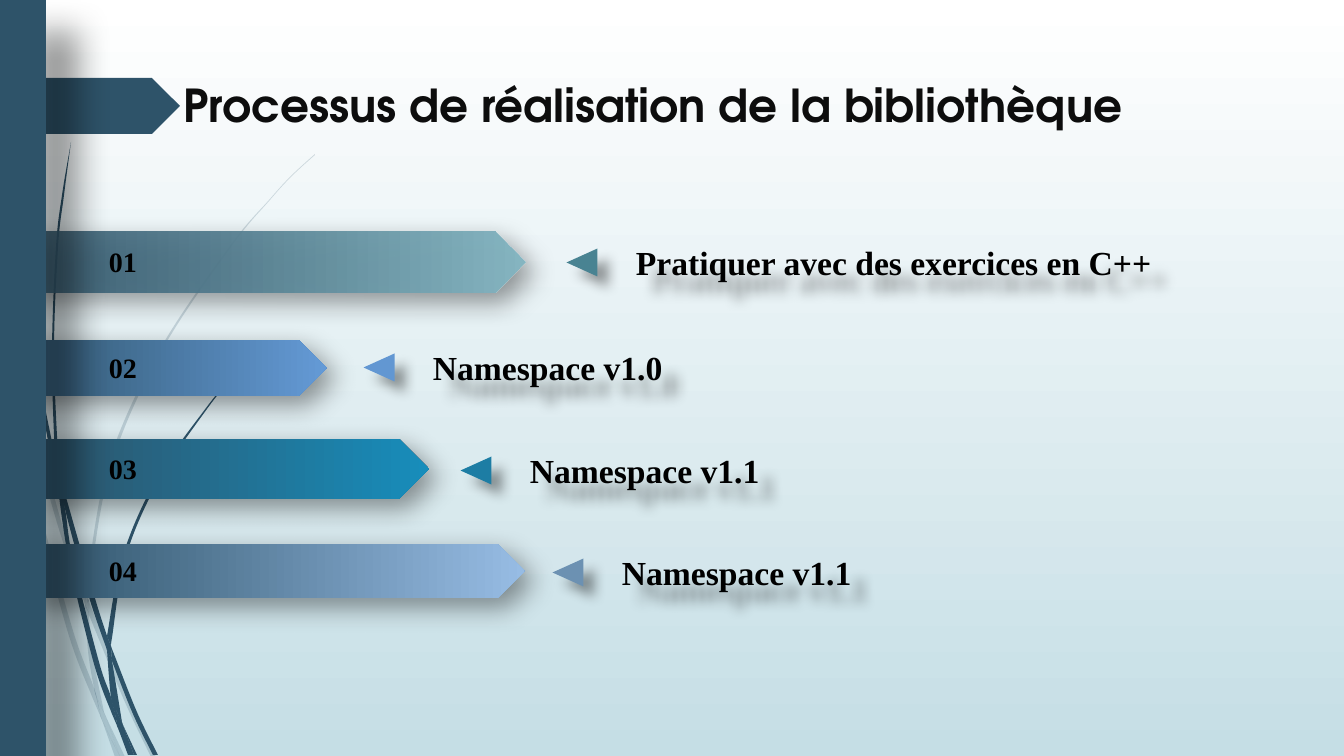
from lxml import etree
from pptx import Presentation
from pptx.dml.color import RGBColor
from pptx.enum.shapes import MSO_SHAPE
from pptx.enum.text import MSO_ANCHOR, MSO_AUTO_SIZE
from pptx.oxml.ns import qn
from pptx.util import Pt

PLATE = MSO_SHAPE.PENTAGON
RECT = MSO_SHAPE.RECTANGLE
TRI = MSO_SHAPE.ISOSCELES_TRIANGLE
TOP = MSO_ANCHOR.TOP
GROW = MSO_AUTO_SIZE.SHAPE_TO_FIT_TEXT

SCALE = 914400 / 100.8
FINE = 20  # outline units in one px
NAVY = "2E5369"
SERIF = "Times New Roman"


def px(n):
    return round(n * SCALE)


def rgb(code):
    return RGBColor.from_string(code)


def bend(points):
    """Two controls and an end for each step of a smooth curve."""
    ends = [points[0], *points, points[-1]]
    curve = []
    for a, b, c, d in zip(ends, ends[1:], ends[2:], ends[3:]):
        curve += [tuple(q + (r - p) / 6 for p, q, r in zip(a, b, c)),
                  tuple(r - (s - q) / 6 for q, r, s in zip(b, c, d)), c]
    return curve


class Deck:
    def __init__(self):
        self.file = Presentation()
        self.file.slide_width, self.file.slide_height = px(1344), px(756)
        self.slide = self.file.slides.add_slide(self.file.slide_layouts[6])
        self.shapes = self.slide.shapes

    def alpha(self, node, value):
        color = next(node.iter(qn("a:srgbClr")))
        etree.SubElement(color, qn("a:alpha")).set("val", str(value * 1000))

    def blend(self, fill, start, end, angle):
        fill.gradient()
        fill.gradient_angle = angle
        for stop, code in zip(fill.gradient_stops, (start, end)):
            stop.color.rgb = rgb(code)

    def shade(self, shape, blur, dist):
        shape.shadow.inherit = False
        effects = shape._element.spPr.find(qn("a:effectLst"))
        outer = etree.SubElement(
            effects, qn("a:outerShdw"), blurRad=str(Pt(blur)),
            dist=str(Pt(dist)), dir="2700000", algn="tl", rotWithShape="0")
        color = etree.SubElement(outer, qn("a:srgbClr"), val="000000")
        etree.SubElement(color, qn("a:alpha"), val="40000")

    def paint(self, item, code):
        item.fill.solid()
        item.fill.fore_color.rgb = rgb(code)
        item.line.fill.background()
        item.shadow.inherit = False

    def shape(self, kind, box, code, shadow=None, turn=0):
        item = self.shapes.add_shape(kind, *map(px, box))
        self.paint(item, code)
        item.rotation = turn
        if shadow:
            self.shade(item, *shadow)
        return item

    def bar(self, box, code, clear):
        item = self.shape(PLATE, box, NAVY, (19, 9))
        self.blend(item.fill, NAVY, code, 0)
        if clear < 100:
            self.alpha(item._element.spPr, clear)

    def text(self, words, box, size, font=SERIF, code="000000", wrap=True):
        item = self.shapes.add_textbox(*map(px, box))
        frame = item.text_frame
        frame.text = words
        frame.word_wrap = wrap
        frame.auto_size = GROW
        frame.vertical_anchor = TOP
        style = frame.paragraphs[0].runs[0].font
        style.name, style.size, style.bold = font, Pt(size), True
        style.color.rgb = rgb(code)
        return item

    def strand(self, down, back, clear):
        """A closed outline with one smooth edge down and one back."""
        join = [down[-1], back[0], back[0]]
        edge = [(x * FINE, y * FINE) for x, y in bend(down) + join + bend(back)]
        pen = self.shapes.build_freeform(
            down[0][0] * FINE, down[0][1] * FINE, scale=SCALE / FINE)
        pen.add_line_segments(edge, close=True)
        item = pen.convert_to_shape()
        # Each three line steps become one curve
        steps = list(item._element.iter(qn("a:lnTo")))
        for one, two, end in zip(steps[::3], steps[1::3], steps[2::3]):
            one.addprevious(curve := etree.Element(qn("a:cubicBezTo")))
            for step in (one, two, end):
                curve.append(step[0])
                step.getparent().remove(step)
        self.paint(item, NAVY)
        if clear < 100:
            self.alpha(item._element.spPr, clear)


# Strands: edge down, edge back
PALE = [
    ([(17, 379), (58, 526), (85, 604)], [(86, 591), (62, 524), (14, 348)]),
    ([(89, 601), (93, 612), (128, 698), (156, 757)],
     [(151, 757), (124, 700), (89, 615)]),
    ([(106, 717), (125, 757)], [(120, 757)]),
    ([(11, 353), (17, 379), (31, 473), (71, 624), (94, 688), (100, 713),
      (102, 720)], [(93, 699), (66, 626), (28, 474), (11, 353)]),
    ([(85, 604), (88, 651), (94, 688), (97, 698), (106, 717)],
     [(104, 712), (92, 651), (89, 615), (89, 613)]),
    ([(315, 154), (291, 176), (270, 199), (230, 246), (159, 351), (108, 465),
      (86, 589), (86, 591)],
     [(89, 601), (89, 589), (111, 466), (161, 352), (231, 247), (270, 200),
      (292, 176), (315, 155)]),
    ([(102, 720), (115, 757)], [(120, 757)]),
    ([(86, 591), (85, 604), (89, 613)], [(89, 615), (89, 601)]),
    ([(94, 688), (100, 713), (102, 720), (120, 757)], [(106, 717), (97, 698)]),
]
DARK = [
    ([(3, 0), (7, 111), (17, 235), (33, 358), (56, 481), (57, 485)],
     [(55, 461), (55, 457), (36, 358), (19, 234), (8, 110), (5, 48), (4, 0)]),
    ([(60, 476), (65, 509), (89, 597), (107, 650)],
     [(107, 638), (107, 636), (94, 595), (60, 476)]),
    ([(111, 646), (114, 654), (137, 712), (158, 755)],
     [(153, 755), (133, 714), (112, 661)]),
    ([(57, 481), (65, 509), (73, 560), (99, 662), (111, 697), (117, 723),
      (118, 728)], [(112, 714), (94, 664), (69, 561), (57, 481)]),
    ([(71, 142), (62, 195), (56, 247), (52, 352), (55, 453), (60, 476)],
     [(58, 457), (54, 352), (58, 247), (64, 195), (71, 142)]),
    ([(123, 725), (134, 755)], [(137, 755)]),
    ([(55, 453), (55, 457), (57, 481), (65, 509)], [(60, 476)]),
    ([(262, 347), (247, 361), (233, 376), (206, 408), (157, 478), (123, 555),
      (107, 636)],
     [(111, 646), (112, 638), (126, 556), (159, 480), (207, 409), (233, 377),
      (247, 362), (263, 347)]),
    ([(118, 728), (128, 755)], [(132, 755)]),
    ([(107, 650), (111, 697), (117, 712), (123, 725)],
     [(122, 722), (112, 661), (110, 656)]),
    ([(107, 636), (107, 650), (110, 656), (112, 661)], [(111, 646)]),
    ([(111, 697), (117, 723), (118, 728), (131, 755)],
     [(134, 755), (123, 725), (117, 712)]),
]

# Steps: bar, bar end colour, start opacity, arrow place, arrow colour, label, width
STEPS = [
    ((0, 232, 525, 61), "86B6C2", 88, (568, 247), "498392",
     "Pratiquer avec des exercices en C++", 540),
    ((0, 340, 327, 56), "649AD6", 100, (365, 352), "6297D2", "Namespace v1.0", 251),
    ((38, 439, 391, 60), "178DBB", 100, (462, 455), "1D7DA4", "Namespace v1.1", 252),
    ((28, 544, 497, 54), "97BCE4", 100, (554, 557), "6C91B2", "Namespace v1.1", 252),
]


def main():
    deck = Deck()
    deck.blend(deck.slide.background.fill, "FFFFFF", "C5DEE5", 270)
    for group, clear in ((PALE, 20), (DARK, 100)):
        for down, back in group:
            deck.strand(down, back, clear)

    # Title
    deck.text(" Processus de réalisation de la bibliothèque", (161, 72, 983, 88),
              32.4, "TeX Gyre Adventor", "0D0D0D")
    deck.shape(PLATE, (0, 78, 180, 56), NAVY)

    # Bars under the side band
    for box, code, clear, *_ in STEPS:
        deck.bar(box, code, clear)
    deck.shape(RECT, (0, 0, 46, 756), NAVY, (24, 32))

    # Numbers, arrows and labels
    for n, (box, _, _, (x, y), code, words, width) in enumerate(STEPS, 1):
        deck.text(f"{n:02}", (99, box[1] + box[3] // 2 - 22, 69, 44), 20)
        deck.shape(TRI, (x, y, 28, 31), code, (9, 11), 270)
        label = deck.text(words, (x + 58, y - 10, width, 50), 24, wrap=False)
        deck.shade(label, 9, 16)

    deck.file.save("out.pptx")


if __name__ == "__main__":
    main()
